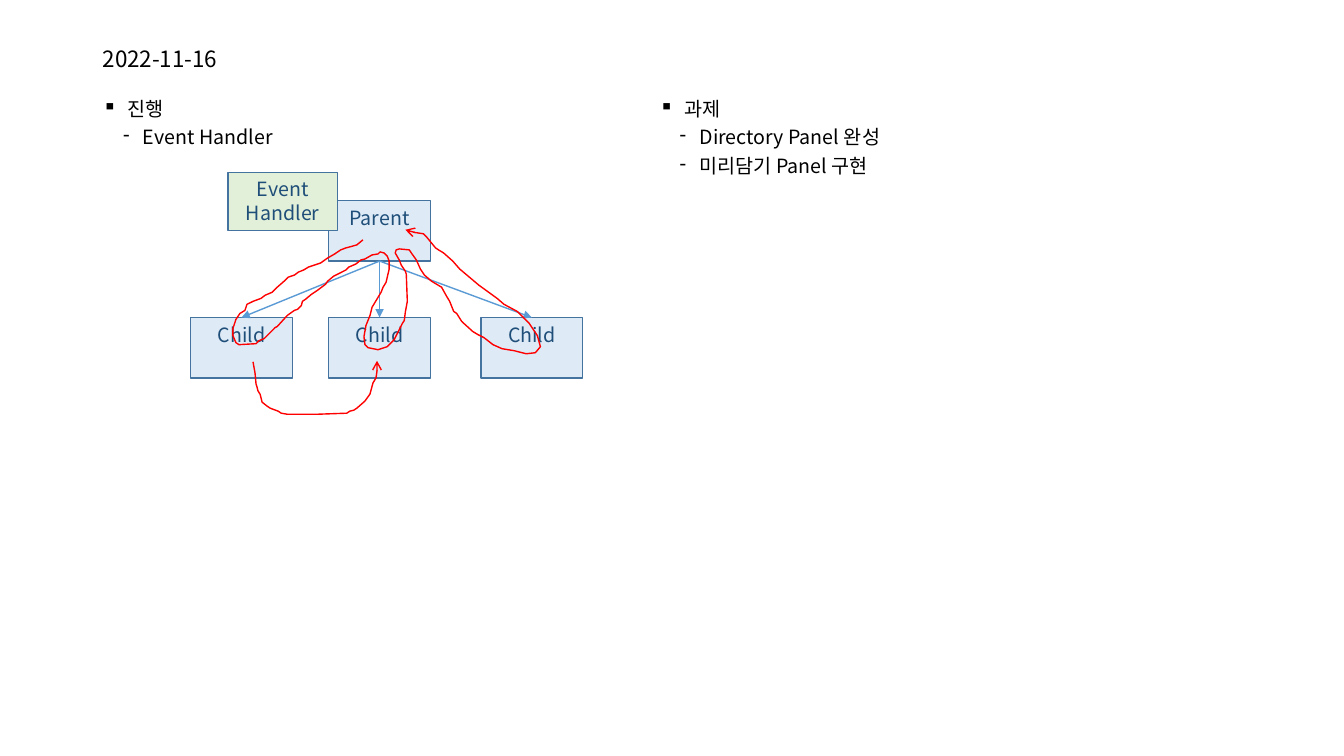
from dataclasses import dataclass

from lxml import etree
from pptx import Presentation
from pptx.dml.color import RGBColor
from pptx.enum.shapes import MSO_CONNECTOR, MSO_SHAPE
from pptx.enum.text import MSO_ANCHOR, PP_ALIGN
from pptx.oxml.ns import qn
from pptx.util import Inches, Pt

RECTANGLE, STRAIGHT = MSO_SHAPE.RECTANGLE, MSO_CONNECTOR.STRAIGHT
TOP, MIDDLE = MSO_ANCHOR.TOP, MSO_ANCHOR.MIDDLE
LEFT, CENTER = PP_ALIGN.LEFT, PP_ALIGN.CENTER

FONT = "Noto Sans CJK KR"
BLACK, NAVY, BORDER = "000000", "1F4E79", "43739E"
PALE_BLUE, PALE_GREEN, BLUE, RED = "DEEBF7", "E2F0D9", "5B9BD5", "FF0000"
NODE_WIDTH, NODE_HEIGHT = 1.01, 0.6
PARENT_TOP, CHILD_TOP = 1.99, 3.15


@dataclass
class Node:
    label: str
    left: float
    top: float
    width: float = NODE_WIDTH
    height: float = NODE_HEIGHT
    fill: str = PALE_BLUE

    @property
    def center(self) -> float:
        return self.left + self.width / 2


@dataclass
class BulletLevel:
    character: str
    margin: float
    indent: float
    space_before: int


@dataclass
class Column:
    left: float
    width: float
    heading: str
    items: list[str]


HEADING = BulletLevel("▪", 0.25, -0.25, 10)
ITEM = BulletLevel("‐", 0.4, -0.2, 5)
COLUMNS = [
    Column(0.92, 5.36, "진행", ["Event Handler"]),
    Column(6.44, 6.08, "과제", ["Directory Panel 완성", "미리담기 Panel 구현"]),
]
PARENT = Node("Parent", 3.26, PARENT_TOP)
CHILDREN = [Node("Child", left, CHILD_TOP) for left in (1.89, 3.26, 4.77)]
HANDLER = Node("Event Handler", 2.26, 1.71, 1.09, 0.58, PALE_GREEN)

# Hand-drawn routes, in hundredths of an inch
TRAVERSAL = [
    (360, 238), (354, 243), (347, 245), (343, 246), (338, 248), (332, 252), (325, 256),
    (318, 261), (312, 263), (306, 265), (301, 268), (296, 270), (292, 273), (286, 275),
    (283, 278), (275, 285), (270, 290), (263, 293), (259, 296), (251, 299), (245, 302),
    (243, 308), (238, 311), (234, 317), (231, 326), (231, 333), (234, 340), (237, 342),
    (254, 341), (257, 338), (262, 336), (266, 332), (273, 325), (275, 324), (285, 313),
    (292, 308), (295, 307), (299, 303), (300, 299), (303, 297), (309, 292), (315, 288),
    (323, 282), (325, 279), (331, 274), (337, 271), (343, 268), (346, 265), (353, 262),
    (358, 258), (362, 257), (369, 253), (375, 252), (377, 250), (381, 251), (384, 254),
    (386, 259), (386, 267), (383, 280), (380, 285), (378, 290), (375, 295), (369, 305),
    (367, 313), (363, 323), (361, 334), (362, 342), (365, 345), (375, 347), (384, 344),
    (387, 341), (391, 337), (396, 327), (399, 321), (401, 318), (402, 310), (404, 299),
    (403, 272), (402, 269), (398, 263), (396, 258), (392, 251), (393, 248), (396, 247),
    (406, 248), (408, 251), (413, 258), (417, 267), (421, 273), (428, 279), (438, 285),
    (443, 294), (446, 299), (450, 309), (453, 311), (458, 319), (469, 329), (474, 332),
    (480, 335), (489, 342), (498, 346), (510, 348), (522, 351), (531, 350), (536, 344),
    (533, 333), (525, 321), (513, 309), (500, 302), (493, 296), (475, 283), (456, 267),
    (449, 259), (440, 251), (435, 248), (432, 246), (423, 235), (420, 232), (407, 230),
    (402, 228),
]
SIBLING_ROUTE = [
    (251, 359), (253, 370), (254, 381), (255, 384), (256, 388), (258, 391), (259, 395),
    (260, 399), (265, 403), (268, 405), (276, 408), (279, 410), (285, 411), (315, 411),
    (344, 410), (347, 408), (351, 407), (354, 405), (362, 398), (367, 391), (370, 380),
    (373, 375), (374, 368), (374, 358),
]


def color(value: str) -> RGBColor:
    return RGBColor.from_string(value)


def apply_format(target, values: dict) -> None:
    for name, value in values.items():
        setattr(target, name, value)


def style_line(shape, line_color: str, arrowhead: str = "") -> None:
    shape.line.color.rgb = color(line_color)
    shape.line.width = Pt(1)
    if arrowhead:
        etree.SubElement(shape.line._get_or_add_ln(), qn("a:tailEnd"), type=arrowhead)


def write(paragraph, text: str, size: int, text_color: str, **layout) -> None:
    apply_format(paragraph, layout)
    run = paragraph.add_run()
    run.text = text
    apply_format(run.font, {"size": Pt(size), "name": FONT})
    run.font.color.rgb = color(text_color)
    etree.SubElement(run.font._element, qn("a:ea"), typeface=FONT)


def add_text_frame(slide, left: float, top: float, width: float, height: float, anchor):
    box = slide.shapes.add_textbox(Inches(left), Inches(top), Inches(width), Inches(height))
    apply_format(box.text_frame, {"word_wrap": True, "vertical_anchor": anchor})
    return box.text_frame


def write_bullet(paragraph, text: str, level: BulletLevel) -> None:
    write(paragraph, text, 14, BLACK, alignment=LEFT, line_spacing=0.9,
          space_before=Pt(level.space_before))
    properties = paragraph._p.get_or_add_pPr()
    properties.set("marL", str(Inches(level.margin)))
    properties.set("indent", str(Inches(level.indent)))
    etree.SubElement(properties, qn("a:buChar"), char=level.character)


def add_column(slide, column: Column) -> None:
    frame = add_text_frame(slide, column.left, 0.94, column.width, 5.81, TOP)
    write_bullet(frame.paragraphs[0], column.heading, HEADING)
    for item in column.items:
        write_bullet(frame.add_paragraph(), item, ITEM)


def add_node(slide, node: Node) -> None:
    shape = slide.shapes.add_shape(RECTANGLE, Inches(node.left), Inches(node.top),
                                   Inches(node.width), Inches(node.height))
    shape.shadow.inherit = False
    shape.fill.solid()
    shape.fill.fore_color.rgb = color(node.fill)
    style_line(shape, BORDER)
    apply_format(shape.text_frame, {"word_wrap": True, "vertical_anchor": TOP})
    write(shape.text_frame.paragraphs[0], node.label, 14, NAVY, alignment=CENTER)


def add_branch(slide, parent: Node, child: Node) -> None:
    connector = slide.shapes.add_connector(
        STRAIGHT, Inches(parent.center), Inches(parent.top + parent.height),
        Inches(child.center), Inches(child.top))
    style_line(connector, BLUE, "triangle")
    etree.SubElement(connector._element.spPr, qn("a:effectLst"))


def add_route(slide, points: list[tuple[int, int]]) -> None:
    builder = slide.shapes.build_freeform(*points[0], scale=Inches(0.01))
    builder.add_line_segments(points[1:], close=False)
    route = builder.convert_to_shape()
    route.shadow.inherit = False
    route.fill.background()
    style_line(route, RED, "arrow")


presentation = Presentation()
apply_format(presentation, {"slide_width": Inches(13.33), "slide_height": Inches(7.5)})
slide = presentation.slides.add_slide(presentation.slide_layouts[6])

# Date and the two bullet columns
title = add_text_frame(slide, 0.92, 0.4, 11.5, 0.39, MIDDLE)
write(title.paragraphs[0], "2022-11-16", 16, BLACK, line_spacing=0.9)
for column in COLUMNS:
    add_column(slide, column)

# Component tree
for node in [PARENT, *CHILDREN]:
    add_node(slide, node)
for child in CHILDREN:
    add_branch(slide, PARENT, child)

# Event routes, then the handler on top
for points in (TRAVERSAL, SIBLING_ROUTE):
    add_route(slide, points)
add_node(slide, HANDLER)

presentation.save("out.pptx")
